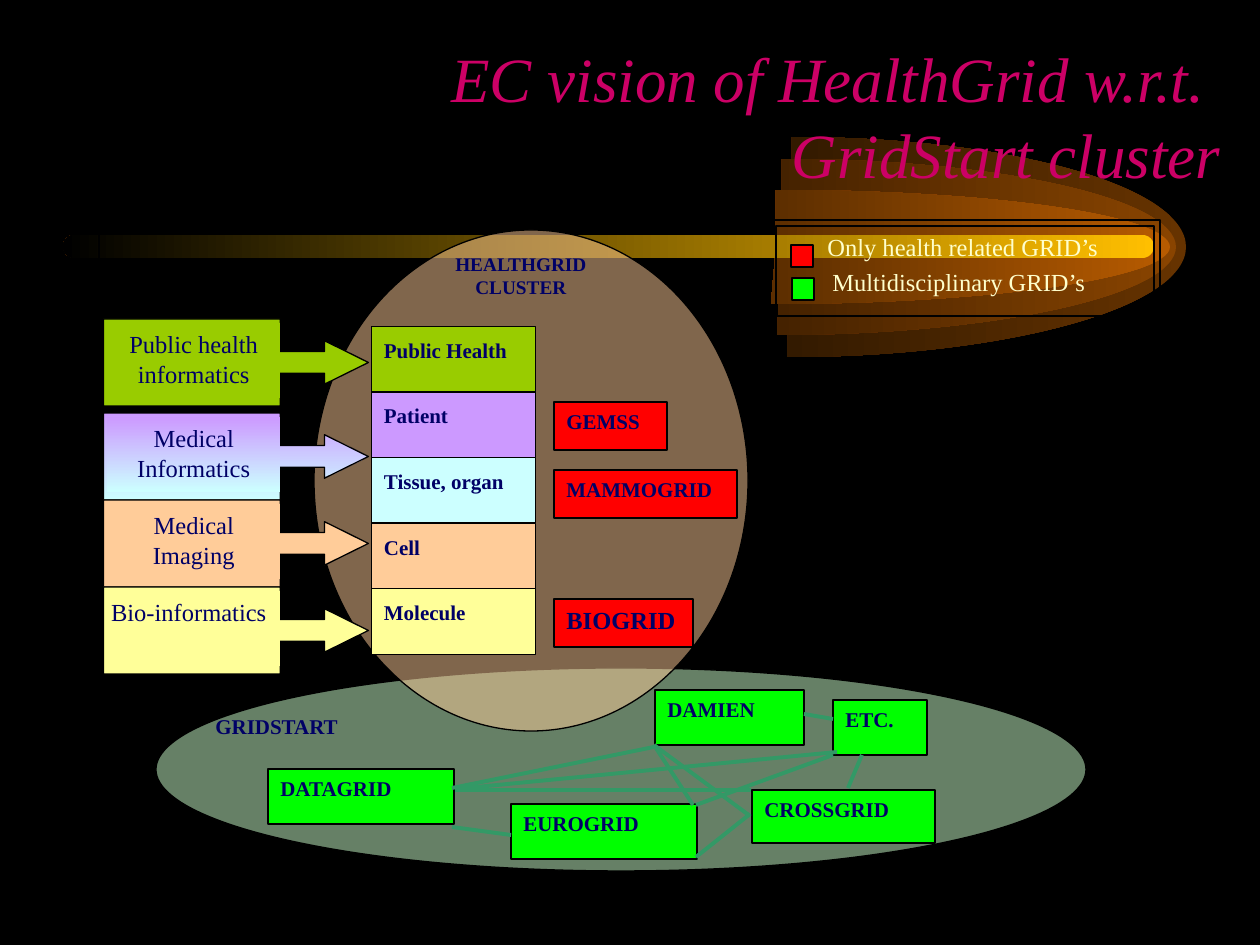
from lxml import etree
from pptx import Presentation
from pptx.dml.color import RGBColor
from pptx.enum.shapes import MSO_CONNECTOR, MSO_SHAPE
from pptx.enum.text import MSO_ANCHOR, MSO_AUTO_SIZE, PP_ALIGN
from pptx.oxml.ns import qn
from pptx.util import Pt

PX = 914400 / 126
FONT = "Times New Roman"
RECT, OVAL = MSO_SHAPE.RECTANGLE, MSO_SHAPE.OVAL
PILL, ARROW = MSO_SHAPE.ROUNDED_RECTANGLE, MSO_SHAPE.RIGHT_ARROW_CALLOUT
LINE = MSO_CONNECTOR.STRAIGHT
LEFT, MID, RIGHT = PP_ALIGN.LEFT, PP_ALIGN.CENTER, PP_ALIGN.RIGHT
TOP, BOTTOM = MSO_ANCHOR.TOP, MSO_ANCHOR.BOTTOM
NO_FIT = MSO_AUTO_SIZE.NONE

COLORS = {
    "black": "000000", "navy": "000066", "cream": "FFFFCC", "pink": "CC0066",
    "red": "FF0000", "green": "00FF00", "link": "339966", "gold": "FFBF00",
    "mint": "CCFFCC", "peach": "FFCC99", "lime": "99CC00", "violet": "CC99FF",
    "ice": "CCFFFF", "lemon": "FFFF99",
    "glow1": "663300", "glow2": "894400", "glow3": "B75B00",
    "dim1": "331A00", "dim2": "452200", "dim3": "5C2E00",
}

TITLE = "EC vision of HealthGrid w.r.t. \vGridStart cluster"
# centre x, vertical radius, colour at the tip, colour at the flat side
GLOWS = [(792, 110, "glow1", "dim1"), (782, 88, "glow2", "dim2"),
         (776, 57, "glow3", "dim3")]
GLOW_Y, GLOW_R, SLANT = 247, 394, 5
BEND = 0.55  # handle length that rounds a quarter ellipse
GRIDS = [
    ("EUROGRID", (511, 804, 186, 55)), ("DATAGRID", (268, 769, 186, 55)),
    ("DAMIEN", (655, 690, 149, 55)), ("CROSSGRID", (752, 790, 183, 53)),
    ("ETC.", (833, 700, 94, 55)),
]
HEALTH = [("GEMSS", 402, 113, 12), ("MAMMOGRID", 470, 183, 12),
          ("BIOGRID", 599, 139, 14)]
# label, text indent, swatch colour, swatch left and top
LEGEND = [("Only health related GRID’s", 39, "red", 791, 245),
          ("Multidisciplinary GRID’s", 44, "green", 792, 278)]
LEVELS = [("Public Health", "lime"), ("Patient", "violet"),
          ("Tissue, organ", "ice"), ("Cell", "peach"), ("Molecule", "lemon")]
# label, top, fill, left inset
FIELDS = [
    ("Public health informatics", 319, "lime", 13),
    ("Medical Informatics", 413, ("violet", "ice", 90), 13),
    ("Medical Imaging", 500, "peach", 13),
    ("Bio-informatics", 587, "lemon", 3),
]
LINKS = [
    (452, 788, 654, 747), (452, 827, 511, 835), (696, 857, 750, 814),
    (693, 805, 654, 745), (848, 788, 862, 755), (804, 714, 833, 719),
    (696, 805, 833, 755), (750, 816, 654, 745), (456, 789, 837, 752),
    (455, 790, 751, 790),
]


def emu(*nums):
    return [round(n * PX) for n in nums]


def rgb(name):
    return RGBColor.from_string(COLORS[name])


def paint(shape, fill, line="black", alpha=None):
    """Fill is None, a colour name, or (first, last, clockwise angle)."""
    shape.shadow.inherit = False
    if fill is None:
        shape.fill.background()
    elif isinstance(fill, tuple):
        shape.fill.gradient()
        for stop, name in zip(shape.fill.gradient_stops, fill):
            stop.color.rgb = rgb(name)
        shape.fill.gradient_angle = 360 - fill[2]
    else:
        shape.fill.solid()
        shape.fill.fore_color.rgb = rgb(fill)
    if alpha:
        tone = shape.fill._xPr.find(".//" + qn("a:srgbClr"))
        etree.SubElement(tone, qn("a:alpha")).set("val", str(alpha * 1000))
    if line:
        shape.line.color.rgb = rgb(line)
        shape.line.width = Pt(0.75)
    else:
        shape.line.fill.background()


def write(shape, text, size, color="navy", bold=False, align=LEFT,
          anchor=TOP, left=None, top=None, italic=False):
    frame = shape.text_frame
    frame.text = text
    frame.word_wrap = True
    frame.auto_size = NO_FIT
    frame.vertical_anchor = anchor
    if left is not None:
        frame.margin_left, = emu(left)
    if top is not None:
        frame.margin_top, = emu(top)
    for para in frame.paragraphs:
        para.alignment = align
        for run in para.runs:
            run.font.name, run.font.size = FONT, Pt(size)
            run.font.bold, run.font.italic = bold, italic
            run.font.color.rgb = rgb(color)


def draw(kind, at, fill, line="black", alpha=None):
    shape = slide.shapes.add_shape(kind, *emu(*at))
    paint(shape, fill, line, alpha)
    return shape


def label(at, text, size, **look):
    write(slide.shapes.add_textbox(*emu(*at)), text, size, **look)


def glow(mid, high, tip, flat):
    """Right half of an ellipse: two curves, closed through its centre."""
    low, end = mid - SLANT, mid + GLOW_R
    top, base = GLOW_Y - high, GLOW_Y + high
    reach, lift = GLOW_R * BEND, high * BEND
    pen = slide.shapes.build_freeform(mid, top, scale=PX)
    pen.add_line_segments([
        (mid + reach, top), (end, GLOW_Y - lift), (end, GLOW_Y),
        (end, GLOW_Y + lift), (low + reach, base), (low, base),
        (mid, GLOW_Y)], close=True)
    shape = pen.convert_to_shape()
    steps = list(shape._element.iter(qn("a:lnTo")))
    for i in (0, 3):
        curve = etree.Element(qn("a:cubicBezTo"))
        steps[i].addprevious(curve)
        for step in steps[i:i + 3]:
            curve.append(step[0])
            step.getparent().remove(step)
    paint(shape, (tip, flat, 180), None)


deck = Presentation()
deck.slide_width, deck.slide_height = emu(1260, 945)
slide = deck.slides.add_slide(deck.slide_layouts[5])
back = slide.background.fill
back.solid()
back.fore_color.rgb = rgb("black")

# Comet, with the title in front of it
for row in GLOWS:
    glow(*row)
bar = draw(PILL, (63, 235, 1091, 23), ("gold", "black", 180), None)
bar.adjustments[0] = 0.5

title = slide.shapes.title
title.left, title.top, title.width, title.height = emu(189, 33, 1044, 164)
write(title, TITLE, 36, "pink", align=RIGHT, anchor=BOTTOM, italic=True)
bar._element.addnext(title._element)

# Frame and the lower cluster
draw(RECT, (99, 220, 1061, 657), None)
draw(OVAL, (156, 668, 930, 203), "mint", alpha=50)
for name, at in GRIDS:
    write(draw(RECT, at, "green"), name, 12, bold=True)
label((203, 707, 267, 54), "GRIDSTART", 12, bold=True)

# Legend
key = draw(RECT, (776, 226, 378, 90), None)
write(key, "\n".join(row[0] for row in LEGEND), 14, "cream")
for para, (_, indent, color, x, y) in zip(key.text_frame.paragraphs, LEGEND):
    props = para._p.get_or_add_pPr()
    props.set("marL", str(emu(indent)[0]))
    props.set("indent", "0")
    draw(RECT, (x, y, 22, 22), color)
key.text_frame.paragraphs[1].space_before = Pt(3)

# Health cluster
draw(OVAL, (314, 230, 434, 501), "peach", alpha=50)
label((400, 246, 242, 90), "HEALTHGRID CLUSTER", 11, bold=True, align=MID)
for name, y, wide, size in HEALTH:
    write(draw(RECT, (554, y, wide, 48), "red"), name, size, bold=True)
high = 328 / len(LEVELS)
for i, (name, color) in enumerate(LEVELS):
    cell = draw(RECT, (371.6, 326.4 + high * i, 164, high), color)
    write(cell, name, 12, bold=True, top=11)

# Fields feeding the levels
for name, y, fill, inset in FIELDS:
    call = draw(ARROW, (103.5, y, 265, 87), fill)
    for i, value in enumerate((0.25, 0.25, 0.505, 0.667)):
        call.adjustments[i] = value
    face = draw(RECT, (107, y + 4, 173, 75), fill, None)
    write(face, name, 14, align=MID, left=inset)

for ends in LINKS:
    link = slide.shapes.add_connector(LINE, *emu(*ends))
    link.line.color.rgb = rgb("link")
    link.line.width = Pt(2.25)
    etree.SubElement(link._element.spPr, qn("a:effectLst"))

deck.save("out.pptx")
